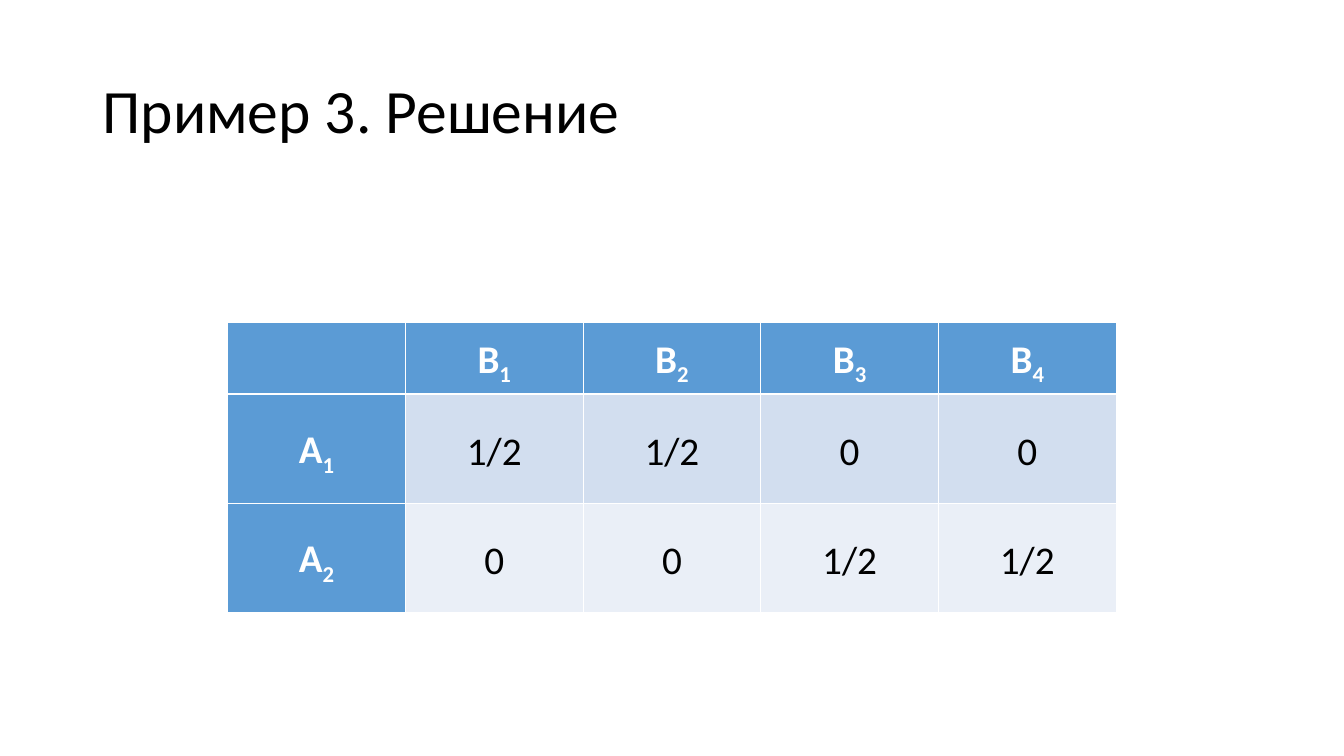
from lxml import etree
from pptx import Presentation
from pptx.dml.color import RGBColor
from pptx.enum import text as t
from pptx.oxml import ns
from pptx.util import Inches, Pt

HUES = {"ink": "000000", "white": "FFFFFF", "head": "5B9BD5",
        "odd": "D2DEEF", "even": "EAEFF7"}


def write(frame, text, sub="", size=28, hue="ink", bold=False,
          align=t.PP_ALIGN.CENTER, space=1.15):
    """Fill a text frame with one line and an optional subscript."""
    frame.word_wrap = True
    frame.vertical_anchor = t.MSO_ANCHOR.MIDDLE
    para = frame.paragraphs[0]
    para.alignment = align
    para.line_spacing = space
    for part, base in ((text, 0), (sub, -25000)):
        if not part:
            continue
        run = para.add_run()
        run.text = part
        font = run.font
        font.name, font.size, font.bold = "Calibri", Pt(size), bold
        font.color.rgb = RGBColor.from_string(HUES[hue])
        if base:
            run._r.get_or_add_rPr().set("baseline", str(base))


def edge(cell, widths):
    """Draw white cell borders; widths go left, right, top, bottom."""
    props = cell._tc.get_or_add_tcPr()
    for i, (side, width) in enumerate(zip("LRTB", widths)):
        line = etree.Element(ns.qn(f"a:ln{side}"), w=str(Pt(width)))
        fill = etree.SubElement(line, ns.qn("a:solidFill"))
        etree.SubElement(fill, ns.qn("a:srgbClr"), val=HUES["white"])
        props.insert(i, line)


deck = Presentation()
deck.slide_width, deck.slide_height = Inches(13.34), Inches(7.5)
slide = deck.slides.add_slide(deck.slide_layouts[6])

# Title
title = slide.shapes.add_textbox(Inches(0.92), Inches(0.4),
                                 Inches(11.5), Inches(1.45))
write(title.text_frame, "Пример 3. Решение", size=44,
      align=t.PP_ALIGN.LEFT, space=0.9)

# Table: row and column heads are a letter with a subscript
rows = [["", "B1", "B2", "B3", "B4"],
        ["A1", "1/2", "1/2", "0", "0"],
        ["A2", "0", "0", "1/2", "1/2"]]
highs = [0.61, 1.08, 1.08]
thin, thick = 0.45, 1.47

grid = slide.shapes.add_table(len(rows), len(rows[0]), Inches(2.26), Inches(3.2),
                              Inches(8.82), Inches(sum(highs))).table
for col in grid.columns:
    col.width = Inches(8.82 / len(rows[0]))

for r, row in enumerate(rows):
    grid.rows[r].height = Inches(highs[r])
    for c, value in enumerate(row):
        cell = grid.cell(r, c)
        head = r == 0 or c == 0
        hue = "head" if head else "odd" if r % 2 else "even"
        cell.fill.solid()
        cell.fill.fore_color.rgb = RGBColor.from_string(HUES[hue])
        cell.vertical_anchor = t.MSO_ANCHOR.MIDDLE
        if head:
            write(cell.text_frame, value[:1], sub=value[1:], hue="white", bold=True)
        else:
            write(cell.text_frame, value)
        edge(cell, (thin, thin, thick if r == 1 else thin, thick if r == 0 else thin))

deck.save("out.pptx")
